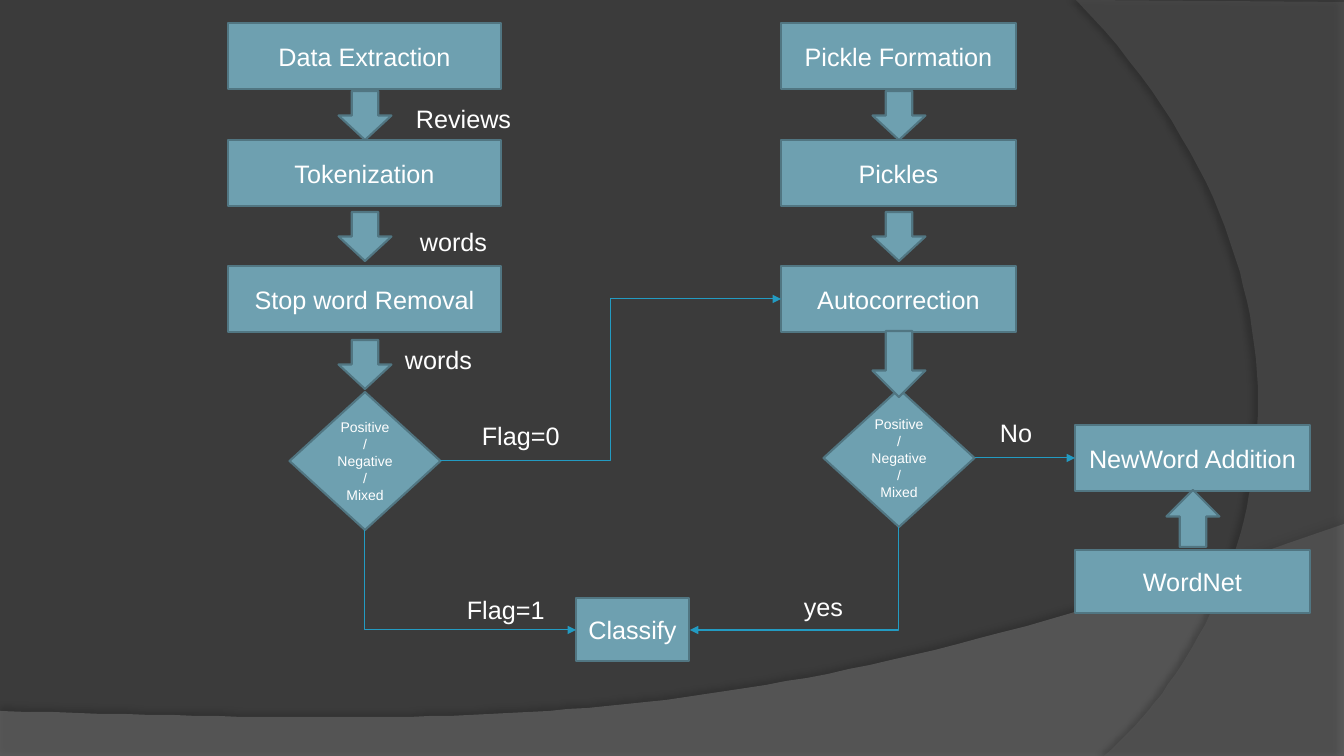
from lxml import etree
from pptx import Presentation
from pptx.dml.color import RGBColor
from pptx.enum.shapes import MSO_CONNECTOR as Connector, MSO_SHAPE as Shape
from pptx.enum.text import MSO_ANCHOR, PP_ALIGN
from pptx.oxml import parse_xml
from pptx.oxml.ns import nsdecls, qn
from pptx.util import Pt

PX = 914400 / 100.8
SLIDE_WIDTH, SLIDE_HEIGHT = 1344, 756
BACKGROUND = RGBColor(0x3B, 0x3B, 0x3B)
WAVE = RGBColor(0x7F, 0x7F, 0x7F)
ARC = RGBColor(0x5E, 0x5E, 0x5E)
TEAL = RGBColor(0x6E, 0xA0, 0xB0)
OUTLINE = RGBColor(0x51, 0x76, 0x82)
LINK = RGBColor(0x23, 0x9B, 0xC2)
WHITE = RGBColor(0xFF, 0xFF, 0xFF)

# straight corners, Bezier control and end points, fill, opacity %,
# shadow (opacity %, distance in points, direction in degrees)
BACKDROP = [
    ([(0, 711), (0, 756), (1344, 756), (1344, 524)],
     [(751, 735), (525, 725), (0, 711)], WAVE, 45, (35, 3.5, 270)),
    ([(1344, 2), (1344, 756), (1104, 756)],
     [(1256, 624), (1368, 302), (1076, 0)], ARC, 40, (45, 4, 180)),
]

# left, width, steps from top to bottom
COLUMNS = [
    (228, 273, ["Data Extraction", "Tokenization", "Stop word Removal"]),
    (781, 235, ["Pickle Formation", "Pickles", "Autocorrection"]),
]
STEP_TOPS = [23, 140, 266]
STEP_HEIGHT = 66
# name, left, top, width, height
OTHER_BOXES = [
    ("NewWord Addition", 1075, 425, 235, 66),
    ("WordNet", 1075, 550, 235, 63),
    ("Classify", 576, 598, 113, 63),
]
DECISION = ["Positive / Negative", "/", "Mixed"]
DECISION_SIZE = (151, 138)
# centre, top
DECISIONS = {"flag": (365, 392), "known": (899, 389)}
BLOCK_ARROW_WIDTH = 53
# shape, centre, top, height
BLOCK_ARROWS = [
    (Shape.DOWN_ARROW, 365, 91, 49),
    (Shape.DOWN_ARROW, 365, 212, 49),
    (Shape.DOWN_ARROW, 365, 340, 49),
    (Shape.DOWN_ARROW, 899, 91, 49),
    (Shape.DOWN_ARROW, 899, 212, 49),
    (Shape.DOWN_ARROW, 899, 331, 66),
    (Shape.UP_ARROW, 1193, 490, 57),
]
LABEL_SIZE = (120, 40)
LABELS = [
    ("Reviews", 406, 98), ("words", 410, 221), ("words", 395, 339),
    ("Flag=0", 472, 415), ("Flag=1", 457, 589), ("No", 990, 412), ("yes", 794, 586),
]
# kind, start, end, place of the bend in % of the width
LINKS = [
    (Connector.ELBOW, (440, 461), (781, 299), 50),
    (Connector.ELBOW, (365, 530), (576, 630), 0),
    (Connector.ELBOW, (899, 527), (690, 630), 0),
    (Connector.STRAIGHT, (975, 458), (1075, 458), None),
]


def px(*lengths):
    return [round(length * PX) for length in lengths]


def curve_points(start, first, second, end, steps=60):
    """Return points along a cubic Bezier curve, without its start."""
    points = []
    for step in range(1, steps + 1):
        t = step / steps
        weights = ((1 - t) ** 3, 3 * t * (1 - t) ** 2, 3 * t * t * (1 - t), t ** 3)
        points.append(tuple(
            sum(weight * point[axis] for weight, point in zip(weights, (start, first, second, end)))
            for axis in (0, 1)))
    return points


def add_backdrop(shapes, corners, curve, color, opacity, shadow):
    points = corners + curve_points(corners[-1], *curve)
    builder = shapes.build_freeform(*points[0], scale=PX)
    builder.add_line_segments(points[1:], close=True)
    shape = builder.convert_to_shape()
    shape.fill.solid()
    shape.fill.fore_color.rgb = color
    shape.line.fill.background()
    color_element = shape._element.spPr.find(".//" + qn("a:srgbClr"))
    etree.SubElement(color_element, qn("a:alpha"), val=str(opacity * 1000))
    shadow_opacity, distance, direction = shadow
    shape._element.spPr.append(parse_xml(
        f'<a:effectLst {nsdecls("a")}><a:outerShdw blurRad="{Pt(4)}" dist="{Pt(distance)}" '
        f'dir="{direction * 60000}" algn="ctr" rotWithShape="0"><a:srgbClr val="000000">'
        f'<a:alpha val="{shadow_opacity * 1000}"/></a:srgbClr></a:outerShdw></a:effectLst>'))


def write(shape, lines, size, alignment, anchor):
    frame = shape.text_frame
    frame.word_wrap = True
    frame.vertical_anchor = anchor
    frame.text = "\n".join(lines)
    font_format = {"name": "Arial", "size": Pt(size)}
    for paragraph in frame.paragraphs:
        paragraph.alignment = alignment
        font = paragraph.runs[0].font
        for name, value in font_format.items():
            setattr(font, name, value)
        font.color.rgb = WHITE


def add_block(shapes, kind, left, top, width, height, lines=(), size=18):
    shape = shapes.add_shape(kind, *px(left, top, width, height))
    shape.shadow.inherit = False
    shape.fill.solid()
    shape.fill.fore_color.rgb = TEAL
    shape.line.color.rgb = OUTLINE
    shape.line.width = Pt(1.5)
    if lines:
        write(shape, lines, size, PP_ALIGN.CENTER, MSO_ANCHOR.MIDDLE)


def add_link(shapes, kind, start, end, bend):
    link = shapes.add_connector(kind, *px(*start, *end))
    link.line.color.rgb = LINK
    link.line.width = Pt(0.75)
    properties = link._element.spPr
    etree.SubElement(properties.find(qn("a:ln")), qn("a:tailEnd"), type="triangle")
    etree.SubElement(properties, qn("a:effectLst"))
    if bend is not None:
        adjustments = properties.find(qn("a:prstGeom")).find(qn("a:avLst"))
        etree.SubElement(adjustments, qn("a:gd"), name="adj1", fmla=f"val {bend * 1000}")


def main():
    presentation = Presentation()
    presentation.slide_width, presentation.slide_height = px(SLIDE_WIDTH, SLIDE_HEIGHT)
    slide = presentation.slides.add_slide(presentation.slide_layouts.get_by_name("Blank"))
    slide.background.fill.solid()
    slide.background.fill.fore_color.rgb = BACKGROUND
    shapes = slide.shapes

    for backdrop in BACKDROP:
        add_backdrop(shapes, *backdrop)
    for left, width, steps in COLUMNS:
        for step, top in zip(steps, STEP_TOPS):
            add_block(shapes, Shape.RECTANGLE, left, top, width, STEP_HEIGHT, [step])
    for name, *place in OTHER_BOXES:
        add_block(shapes, Shape.RECTANGLE, *place, [name])
    for center, top in DECISIONS.values():
        left = center - DECISION_SIZE[0] / 2
        add_block(shapes, Shape.DIAMOND, left, top, *DECISION_SIZE, DECISION, 10)
    for kind, center, top, height in BLOCK_ARROWS:
        left = center - BLOCK_ARROW_WIDTH / 2
        add_block(shapes, kind, left, top, BLOCK_ARROW_WIDTH, height)
    for link in LINKS:
        add_link(shapes, *link)
    for text, left, top in LABELS:
        label = shapes.add_textbox(*px(left, top, *LABEL_SIZE))
        write(label, [text], 18, PP_ALIGN.LEFT, MSO_ANCHOR.TOP)

    presentation.save("out.pptx")


if __name__ == "__main__":
    main()
